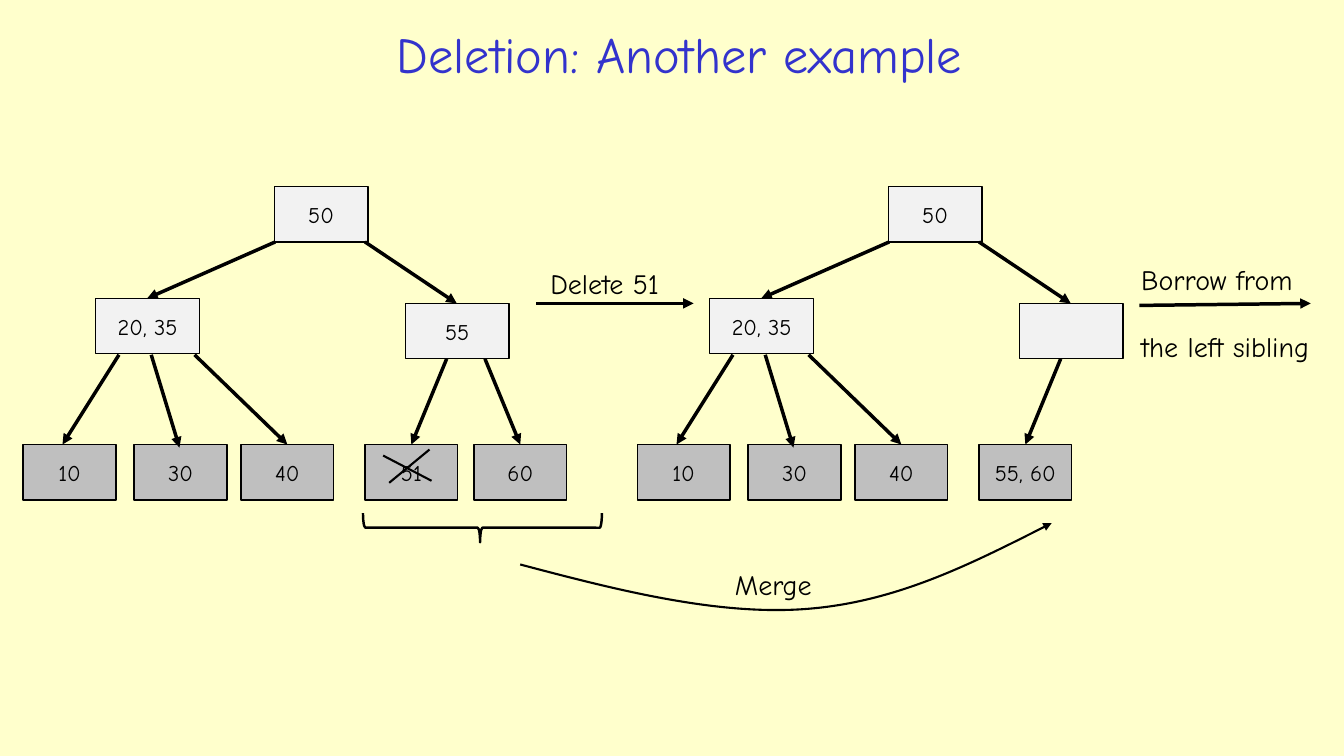
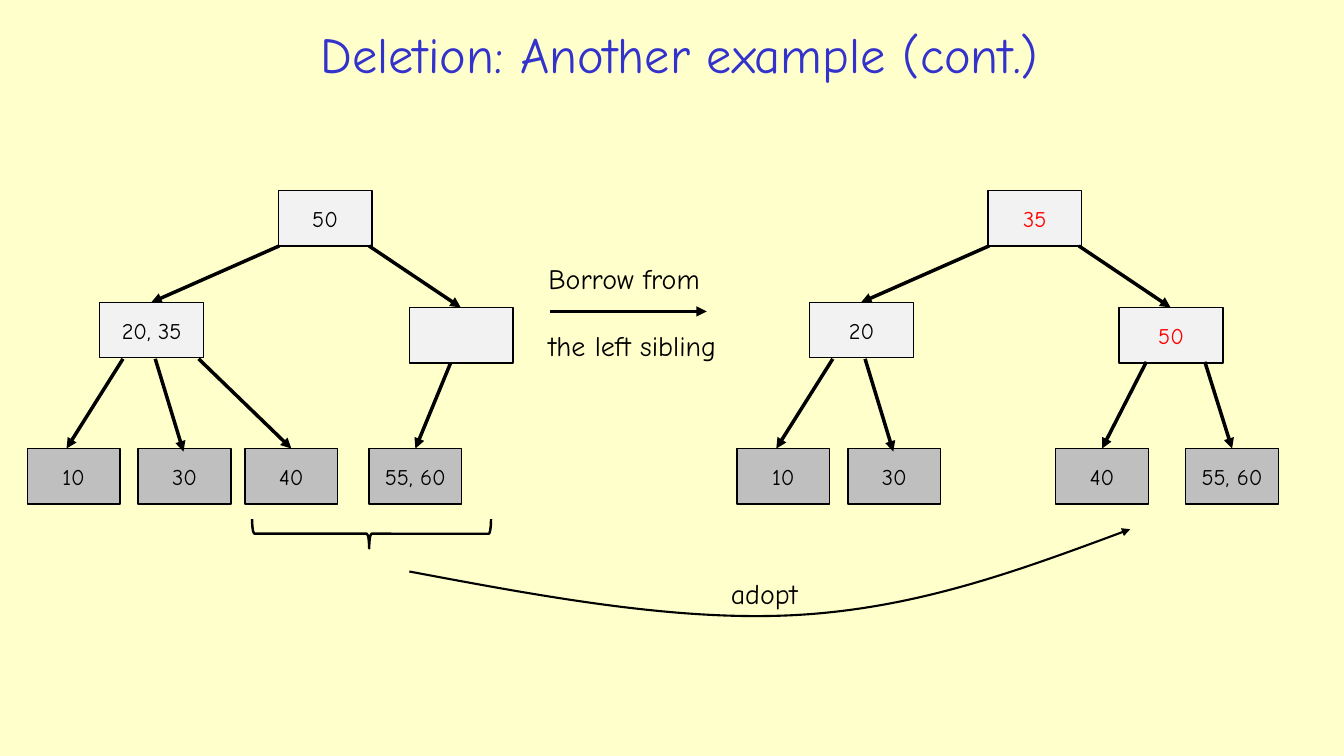
from dataclasses import dataclass

from lxml import etree
from pptx import Presentation
from pptx.dml.color import RGBColor
from pptx.enum import shapes, text
from pptx.oxml.ns import qn
from pptx.util import Inches, Pt


@dataclass(frozen=True)
class Theme:
    font: str = "Comic Neue"
    paper: str = "FFFFCC"
    title: str = "3333CC"
    ink: str = "000000"
    changed: str = "FF0000"
    inner: str = "F2F2F2"
    leaf: str = "BFBFBF"
    title_size: int = 36
    label_size: int = 20
    node_size: int = 16
    box_line: float = 1
    thin_line: float = 1.5
    brace_line: float = 1.75
    arrow_line: float = 2.5


T = Theme()

# Positions inside a tree are measured from its top left corner.
NODE_H = 0.55
ROOT_X, ROOT_W = 2.49, 0.93
INNER_W, LEAF_W = 1.03, 0.92
LEFT_INNER, RIGHT_INNER = (0.72, 1.11), (3.79, 1.16)
LEAF_Y = 2.56
ROOT_EDGES = [((2.5, 0.55), (1.23, 1.11)), ((3.39, 0.55), (4.3, 1.16))]

# Leaf: label, left edge, edge start (x, y), edge tip (x, y)
LEAF_10 = ("10", 0, (0.95, 1.67), (0.39, 2.56))
LEAF_30 = ("30", 1.1, (1.27, 1.67), (1.55, 2.59))
LEAF_40 = ("40", 2.16, (1.7, 1.67), (2.62, 2.56))
LEAF_51 = ("51", 3.39, (4.2, 1.71), (3.85, 2.56))
LEAF_60 = ("60", 4.47, (4.58, 1.71), (4.93, 2.56))
LEAF_MERGED = ("55, 60", 3.39, (4.2, 1.71), (3.85, 2.56))
LEAF_ADOPTED = ("40", 3.16, (4.06, 1.7), (3.62, 2.56))
LEAF_LAST = ("55, 60", 4.45, (4.64, 1.7), (4.91, 2.56))

BORROW = ["Borrow from", "the left sibling"]
UNDERFULL = dict(root="50", inner=("20, 35", ""),
                 leaves=[LEAF_10, LEAF_30, LEAF_40, LEAF_MERGED])

SLIDES = [
    dict(
        title="Deletion: Another example",
        trees=[
            dict(at=(0.23, 1.85), root="50", inner=("20, 35", "55"),
                 leaves=[LEAF_10, LEAF_30, LEAF_40, LEAF_51, LEAF_60]),
            dict(at=(6.32, 1.85), **UNDERFULL),
        ],
        steps=[((5.32, 3.01), (6.88, 3.01)), ((11.3, 3.03), (13, 3.01))],
        strokes=[((3.8, 4.52), (4.28, 4.77)), ((4.26, 4.46), (3.86, 4.79))],
        labels=[(["Delete 51"], (5.36, 2.59, 1.47, 0.44)),
                (BORROW, (11.22, 2.55, 2.15, 1.11)),
                (["Merge"], (7.19, 5.58, 1.24, 0.44))],
        brace=(4.64, 4.05),
        curve=[(5.16, 5.6), (6.14, 5.86), (7.13, 6.11), (8.01, 6.04),
               (8.89, 5.97), (9.66, 5.58), (10.43, 5.19)],
    ),
    dict(
        title="Deletion: Another example (cont.)",
        trees=[
            dict(at=(0.27, 1.89), **UNDERFULL),
            dict(at=(7.31, 1.89), root="35", inner=("20", "50"),
                 leaves=[LEAF_10, LEAF_30, LEAF_ADOPTED, LEAF_LAST],
                 changed=("35", "50")),
        ],
        steps=[((5.45, 3.09), (7.01, 3.09))],
        strokes=[],
        labels=[(BORROW, (5.34, 2.54, 2.15, 1.11)),
                (["adopt"], (7.15, 5.67, 1.24, 0.44))],
        brace=(3.54, 4.11),
        curve=[(4.06, 5.67), (5.39, 5.92), (6.73, 6.17), (7.92, 6.1),
               (9.11, 6.03), (10.16, 5.64), (11.21, 5.25)],
    ),
]


def rgb(value):
    return RGBColor.from_string(value)


def inches(values):
    return [Inches(v) for v in values]


def write(sp, lines, size=T.label_size, color=T.ink, align=text.PP_ALIGN.LEFT,
          anchor=text.MSO_ANCHOR.TOP, gap=0):
    """Put one paragraph per line into a shape, with gap points between them."""
    tf = sp.text_frame
    tf.word_wrap = True
    tf.vertical_anchor = anchor
    for i, line in enumerate(lines):
        p = tf.add_paragraph() if i else tf.paragraphs[0]
        p.alignment = align
        if i and gap:
            p.space_before = Pt(gap)
        r = p.add_run()
        r.text = line
        r.font.name, r.font.size = T.font, Pt(size)
        r.font.color.rgb = rgb(color)


def outline(sp, width, arrow=False):
    sp.line.color.rgb = rgb(T.ink)
    sp.line.width = Pt(width)
    if arrow:
        ln = sp.line._get_or_add_ln()
        etree.SubElement(ln, qn("a:tailEnd"), type="triangle")


def add_line(s, start, end, width=T.arrow_line, arrow=True):
    line = s.shapes.add_connector(shapes.MSO_CONNECTOR.STRAIGHT,
                                  *inches(start + end))
    outline(line, width, arrow)
    etree.SubElement(line._element.spPr, qn("a:effectLst"))


def add_node(s, label, x, y, width, fill, color=T.ink):
    sp = s.shapes.add_shape(shapes.MSO_SHAPE.RECTANGLE,
                            *inches((x, y, width, NODE_H)))
    sp.shadow.inherit = False
    sp.fill.solid()
    sp.fill.fore_color.rgb = rgb(fill)
    outline(sp, T.box_line)
    if label:
        write(sp, [label], size=T.node_size, color=color,
              align=text.PP_ALIGN.CENTER, anchor=text.MSO_ANCHOR.MIDDLE)


def add_tree(s, at, root, inner, leaves, changed=()):
    left, top = at
    nodes = [(root, ROOT_X, 0, ROOT_W, T.inner)]
    nodes += [(label, x, y, INNER_W, T.inner)
              for label, (x, y) in zip(inner, (LEFT_INNER, RIGHT_INNER))]
    nodes += [(label, x, LEAF_Y, LEAF_W, T.leaf) for label, x, _, _ in leaves]
    for label, x, y, width, fill in nodes:
        add_node(s, label, left + x, top + y, width, fill,
                 T.changed if label in changed else T.ink)
    for start, tip in ROOT_EDGES + [leaf[2:] for leaf in leaves]:
        add_line(s, (left + start[0], top + start[1]),
                 (left + tip[0], top + tip[1]))


def add_brace(s, left, top):
    sp = s.shapes.add_shape(shapes.MSO_SHAPE.RIGHT_BRACE,
                            *inches((left, top, 0.29, 2.37)))
    sp.adjustments[0], sp.adjustments[1] = 0.08, 0.51
    sp.rotation = 90
    sp.shadow.inherit = False
    sp.fill.background()
    outline(sp, T.brace_line)


def add_curve(s, points):
    """Draw an arrow through Bezier points: a start, then threes."""
    start, *rest = [inches(point) for point in points]
    builder = s.shapes.build_freeform(*start)
    builder.add_line_segments(rest, close=False)
    sp = builder.convert_to_shape()
    outlines = sp._element.xpath(".//a:path")[0]
    segments = outlines.findall(qn("a:lnTo"))
    for i in range(0, len(segments), 3):
        bezier = etree.SubElement(outlines, qn("a:cubicBezTo"))
        for segment in segments[i:i + 3]:
            bezier.append(segment[0])
            outlines.remove(segment)
    sp.shadow.inherit = False
    sp.fill.background()
    outline(sp, T.thin_line, arrow=True)


def add_text(s, lines, box, **style):
    write(s.shapes.add_textbox(*inches(box)), lines, **style)


def build_slide(prs, content):
    s = prs.slides.add_slide(prs.slide_layouts[6])
    add_text(s, [content["title"]], (1.97, 0.15, 9.54, 0.76),
             size=T.title_size, color=T.title, align=text.PP_ALIGN.CENTER,
             anchor=text.MSO_ANCHOR.MIDDLE)
    for tree in content["trees"]:
        add_tree(s, **tree)
    for start, end in content["steps"]:
        add_line(s, start, end)
    for start, end in content["strokes"]:
        add_line(s, start, end, width=T.thin_line, arrow=False)
    add_brace(s, *content["brace"])
    add_curve(s, content["curve"])
    for lines, box in content["labels"]:
        add_text(s, lines, box, gap=24)


def main():
    prs = Presentation()
    prs.slide_width, prs.slide_height = Inches(13.33), Inches(7.5)
    paper = prs.slide_master.background.fill
    paper.solid()
    paper.fore_color.rgb = rgb(T.paper)
    for content in SLIDES:
        build_slide(prs, content)
    prs.save("out.pptx")


if __name__ == "__main__":
    main()
